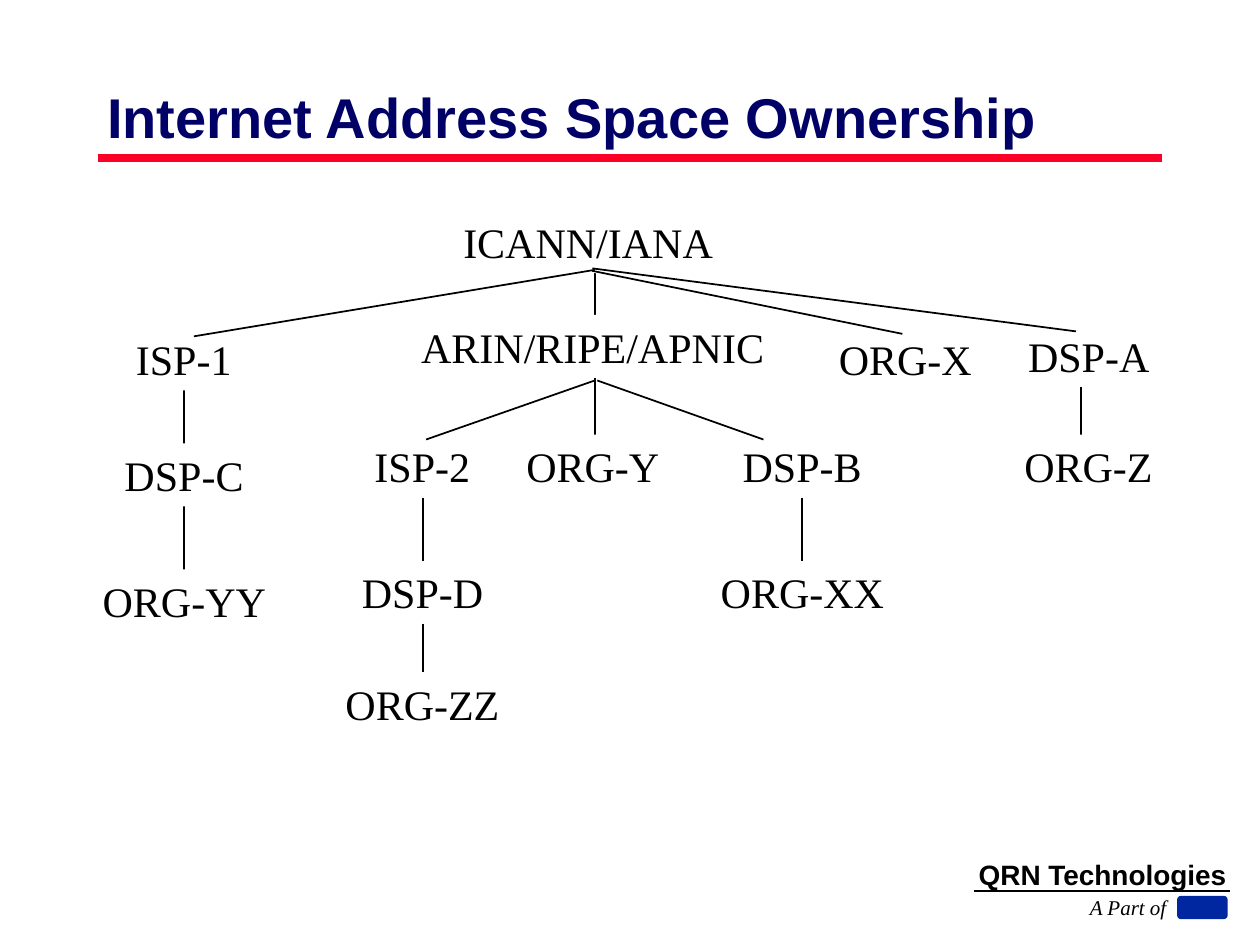
from dataclasses import dataclass

from lxml.etree import SubElement
from pptx import Presentation
from pptx.dml.color import RGBColor
from pptx.enum.shapes import MSO_CONNECTOR as Connector, MSO_SHAPE as Preset
from pptx.enum.text import MSO_ANCHOR as Anchor, MSO_AUTO_SIZE as AutoSize
from pptx.oxml.ns import qn
from pptx.util import Cm, Pt

BOTTOM, TOP = 2, 0


@dataclass(frozen=True)
class Theme:
    ink: RGBColor = RGBColor(0, 0, 0)
    paper: RGBColor = RGBColor(255, 255, 255)
    heading: RGBColor = RGBColor(0x00, 0x00, 0x66)
    rule: RGBColor = RGBColor(0xFC, 0x01, 0x28)
    badge: RGBColor = RGBColor(0x00, 0x27, 0x9F)
    sans: str = "Arial"
    serif: str = "Times New Roman"
    title_size: int = 32
    node_size: int = 24
    company_size: int = 16
    tagline_size: int = 12
    thin: float = 1
    thick: float = 4.5


@dataclass(frozen=True)
class Node:
    """A labelled box, placed by its centre line and top, in centimetres."""
    label: str
    center: float
    top: float
    width: float
    height: float = 1.27


@dataclass(frozen=True)
class Line:
    x1: float
    y1: float
    x2: float
    y2: float


THEME = Theme()

# Column centre lines
ISP_1, ISP_2, REGISTRY, DSP_B, DSP_A = 3.71, 8.52, 11.95, 16.17, 21.95

NODES = [
    Node("ICANN/IANA", 11.86, 4.24, 5.54),
    Node("ARIN/RIPE/APNIC", REGISTRY, 6.35, 7.42),
    Node("ISP-1", ISP_1, 6.6, 2.44),
    Node("DSP-C", ISP_1, 8.94, 2.9),
    Node("ORG-YY", ISP_1, 11.48, 3.78),
    Node("ISP-2", ISP_2, 8.76, 2.44),
    Node("DSP-D", ISP_2, 11.3, 2.95),
    Node("ORG-ZZ", ISP_2, 13.54, 3.61),
    Node("ORG-Y", REGISTRY, 8.76, 3.18),
    Node("DSP-B", DSP_B, 8.76, 2.9),
    Node("ORG-XX", DSP_B, 11.3, 3.78),
    Node("ORG-X", 18.25, 6.6, 3.18),
    Node("DSP-A", DSP_A, 6.53, 2.95),
    Node("ORG-Z", DSP_A, 8.76, 3.1),
]

# Parent and child that share a centre line
LINKS = [("ISP-1", "DSP-C"), ("DSP-C", "ORG-YY"), ("ISP-2", "DSP-D"),
         ("DSP-D", "ORG-ZZ"), ("DSP-B", "ORG-XX")]

# Long lines that pass behind the boxes
TRUNKS = [Line(11.99, 5.26, 11.99, 9.42), Line(21.79, 7.16, 21.79, 9.53)]

# Slanted branches from the root and from the registries
BRANCHES = [
    Line(11.99, 5.44, 3.91, 6.78),
    Line(18.19, 6.73, 11.94, 5.46),
    Line(21.69, 6.68, 11.94, 5.41),
    Line(11.99, 7.67, 8.59, 8.86),
    Line(12.04, 7.67, 15.39, 8.86),
]


def apply(target, values: dict) -> None:
    for name, value in values.items():
        setattr(target, name, value)


def write(shape, text: str, font: dict, wrap: bool = False,
          anchor=Anchor.TOP) -> None:
    frame = shape.text_frame
    apply(frame, {
        "word_wrap": wrap, "auto_size": AutoSize.NONE, "vertical_anchor": anchor,
        "margin_left": Cm(0.25), "margin_right": Cm(0.25),
        "margin_top": Cm(0.13), "margin_bottom": Cm(0.13),
    })
    paragraph = frame.paragraphs[0]
    run = paragraph.add_run()
    run.text = text
    color = font.get("color", THEME.ink)
    run.font.color.rgb = color
    apply(run.font, {name: value for name, value in font.items() if name != "color"})


def draw_text(slide, text: str, box: tuple, font: dict, **options) -> None:
    shape = slide.shapes.add_textbox(*map(Cm, box))
    write(shape, text, font, **options)


def draw_shape(slide, preset, box: tuple, fill: RGBColor):
    shape = slide.shapes.add_shape(preset, *map(Cm, box))
    shape.shadow.inherit = False
    shape.fill.solid()
    shape.fill.fore_color.rgb = fill
    shape.line.fill.background()
    return shape


def draw_node(slide, node: Node):
    box = (node.center - node.width / 2, node.top, node.width, node.height)
    shape = draw_shape(slide, Preset.RECTANGLE, box, THEME.paper)
    write(shape, node.label, {"name": THEME.serif, "size": Pt(THEME.node_size)})
    shape.text_frame.paragraphs[0].alignment = 1
    return shape


def draw_line(slide, line: Line, color: RGBColor = THEME.ink,
              width: float = THEME.thin):
    connector = slide.shapes.add_connector(
        Connector.STRAIGHT, Cm(line.x1), Cm(line.y1), Cm(line.x2), Cm(line.y2))
    connector.line.color.rgb = color
    connector.line.width = Pt(width)
    SubElement(connector._element.spPr, qn("a:effectLst"))
    return connector


def draw_link(slide, parent, child) -> None:
    connector = draw_line(slide, Line(0, 0, 0, 0))
    connector.begin_connect(parent, BOTTOM)
    connector.end_connect(child, TOP)


def main() -> None:
    presentation = Presentation()
    apply(presentation, {"slide_width": Cm(25.4), "slide_height": Cm(19.05)})
    slide = presentation.slides.add_slide(presentation.slide_layouts[6])

    # Title and rule
    draw_line(slide, Line(1.98, 3.18, 23.42, 3.18), THEME.rule, THEME.thick)
    draw_text(slide, "Internet Address Space Ownership", (1.91, 1.7, 21.59, 1.27),
              {"name": THEME.sans, "size": Pt(THEME.title_size), "bold": True,
               "color": THEME.heading}, wrap=True, anchor=Anchor.MIDDLE)

    # Footer, with a plain badge
    draw_text(slide, "QRN Technologies", (19.48, 17.35, 5.49, 0.56),
              {"name": THEME.sans, "size": Pt(THEME.company_size), "bold": True},
              anchor=Anchor.MIDDLE)
    draw_line(slide, Line(19.63, 17.96, 24.79, 17.96))
    draw_text(slide, "A Part of", (21.72, 17.91, 2.18, 0.76),
              {"name": THEME.serif, "size": Pt(THEME.tagline_size), "italic": True})
    draw_shape(slide, Preset.ROUNDED_RECTANGLE, (23.73, 18.06, 1.02, 0.47), THEME.badge)

    # Ownership tree
    for trunk in TRUNKS:
        draw_line(slide, trunk)
    boxes = {node.label: draw_node(slide, node) for node in NODES}
    for parent, child in LINKS:
        draw_link(slide, boxes[parent], boxes[child])
    for branch in BRANCHES:
        draw_line(slide, branch)

    presentation.save("out.pptx")


if __name__ == "__main__":
    main()
